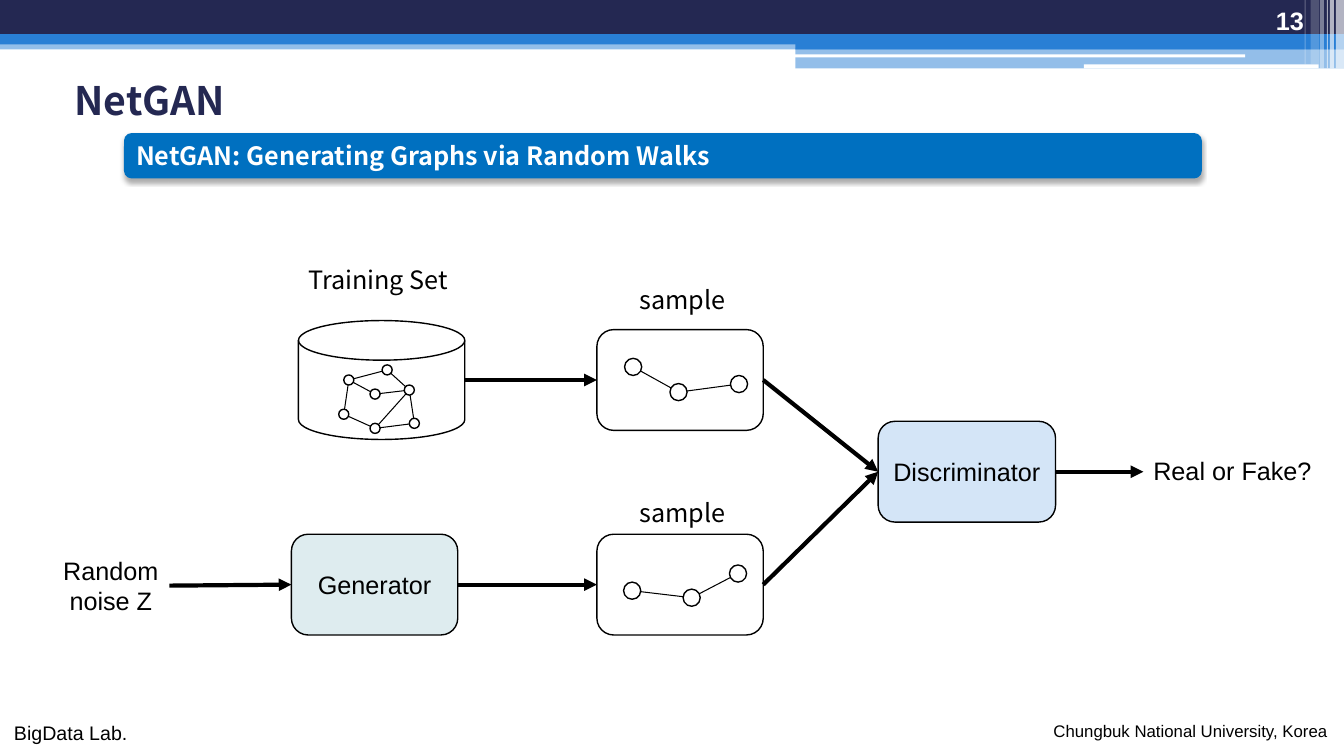
"""Build the NetGAN slide: a banner and the flow from noise and training data to the discriminator."""
from math import hypot

from lxml.etree import SubElement
from pptx import Presentation
from pptx.dml.color import RGBColor
from pptx.enum.shapes import MSO_CONNECTOR, MSO_SHAPE
from pptx.enum.text import MSO_ANCHOR, PP_ALIGN
from pptx.oxml.ns import qn
from pptx.util import Inches, Pt

COLORS = {
    "navy": "242852", "blue": "297FD5", "bar": "0070C0", "white": "FFFFFF",
    "black": "000000", "generator": "DEECEF", "discriminator": "D4E5F7",
}
SANS, KOREAN = "Arial", "Noto Sans CJK KR"
LEFT, CENTER, RIGHT = PP_ALIGN.LEFT, PP_ALIGN.CENTER, PP_ALIGN.RIGHT

presentation = Presentation()
presentation.slide_width, presentation.slide_height = Inches(13.33), Inches(7.5)
slide = presentation.slides.add_slide(presentation.slide_layouts[6])
column = presentation.slide_width / 133.3
row = presentation.slide_height / 75


def add_block(container, kind, box, fill=None, alpha=100, outlined=False):
    """Add a preset shape whose box is given in columns and rows."""
    left, top, width, height = box
    shape = container.shapes.add_shape(
        kind, round(left * column), round(top * row), round(width * column), round(height * row))
    shape.shadow.inherit = False
    if fill:
        shape.fill.solid()
        shape.fill.fore_color.rgb = RGBColor.from_string(COLORS[fill])
        if alpha < 100:
            color = shape.element.spPr.find(qn("a:solidFill"))[0]
            SubElement(color, qn("a:alpha"), val=str(alpha * 1000))
    else:
        shape.fill.background()
    if outlined:
        shape.line.color.rgb = RGBColor.from_string(COLORS["black"])
        shape.line.width = Pt(1)
    else:
        shape.line.fill.background()
    return shape


def add_line(container, start, end, width, arrow=False):
    """Add a straight black line between two grid points."""
    line = container.shapes.add_connector(
        MSO_CONNECTOR.STRAIGHT, round(start[0] * column), round(start[1] * row),
        round(end[0] * column), round(end[1] * row))
    line.line.color.rgb = RGBColor.from_string(COLORS["black"])
    line.line.width = Pt(width)
    if arrow:
        SubElement(line.line._get_or_add_ln(), qn("a:tailEnd"), type="triangle")
    SubElement(line._element.spPr, qn("a:effectLst"))
    return line


banner = [
    ((0, 4, 133.3, 0.9), "blue", 50),
    ((0, 0, 133.3, 3.4), "navy", 100),
    ((0, 3.4, 133.3, 1), "blue", 100),
    ((78.9, 3.9, 54.4, 1), "blue", 100),
    ((78.9, 4.8, 54.4, 2), "blue", 50),
    ((78.8, 5.4, 44.7, 0.3), "white", 100),
    ((107.5, 6.4, 23.3, 0.4), "white", 100),
    ((132.5, 0, 0.8, 6.8), "white", 65),
    ((131.9, 0, 0.4, 6.8), "white", 65),
    ((131.6, 0, 0.1, 6.8), "white", 60),
    ((130.9, 0, 0.4, 6.8), "white", 40),
    ((130, 0, 0.8, 6.4), "white", 20),
    ((129.4, 0, 0.1, 6.4), "white", 30),
]
for box, fill, alpha in banner:
    add_block(slide, MSO_SHAPE.RECTANGLE, box, fill, alpha)

bar = add_block(slide, MSO_SHAPE.ROUNDED_RECTANGLE, (12.3, 13.2, 106.9, 4.5), "bar")
shadow = SubElement(bar.element.spPr.find(qn("a:effectLst")), qn("a:outerShdw"),
                    blurRad=str(Pt(3.5)), dist=str(Pt(2.2)), dir="5400000", rotWithShape="0")
shadow_color = SubElement(shadow, qn("a:srgbClr"), val=COLORS["black"])
SubElement(shadow_color, qn("a:alpha"), val="32000")

training_set = add_block(slide, MSO_SHAPE.FLOWCHART_MAGNETIC_DISK,
                         (29.6, 31.8, 16.5, 11.8), outlined=True)
stages = {}
for name, box, fill in [
    ("generator", (28.9, 53, 16.5, 10), "generator"),
    ("fake sample", (59.2, 53, 16.5, 10), None),
    ("real sample", (59.2, 32.7, 16.5, 10), None),
    ("discriminator", (87.1, 41.8, 17.6, 10), "discriminator"),
]:
    stages[name] = add_block(slide, MSO_SHAPE.ROUNDED_RECTANGLE, box, fill, outlined=True)

arrows = [
    ((16.8, 58.1), (28.9, 58), None, "generator"),
    ((45.4, 58), (59.2, 58), "generator", "fake sample"),
    ((46.1, 37.7), (59.2, 37.7), None, "real sample"),
    ((75.7, 37.7), (87.1, 46.8), "real sample", "discriminator"),
    ((75.7, 58), (87.1, 46.8), "fake sample", "discriminator"),
    ((104.7, 46.8), (113.4, 46.8), "discriminator", None),
]
for start, end, source, target in arrows:
    arrow = add_line(slide, start, end, 3, arrow=True)
    if source:
        arrow.begin_connect(stages[source], 3)
    if target:
        arrow.end_connect(stages[target], 1)

graphs = [
    (0.5,
     [(34.6, 37.7), (38.4, 36.7), (37.2, 39.1), (40.6, 38.7), (37.2, 42.5), (34.1, 41.1), (41.1, 42)],
     [(0, 2), (0, 1), (0, 5), (4, 5), (4, 6), (6, 3), (3, 1), (3, 2), (3, 4)]),
    (0.85, [(62.8, 36.4), (67.3, 38.9), (73.3, 38.1)], [(0, 1), (2, 1)]),
    (0.85, [(73.2, 56.9), (68.6, 59.3), (62.7, 58.6)], [(0, 1), (2, 1)]),
]
for radius, nodes, links in graphs:
    group = slide.shapes.add_group_shape()
    for x, y in nodes:
        add_block(group, MSO_SHAPE.OVAL, (x - radius, y - radius, 2 * radius, 2 * radius), outlined=True)
    for first, second in links:
        (x1, y1), (x2, y2) = nodes[first], nodes[second]
        share = radius / hypot(x2 - x1, y2 - y1)
        dx, dy = (x2 - x1) * share, (y2 - y1) * share
        add_line(group, (x1 + dx, y1 + dy), (x2 - dx, y2 - dy), 0.75)

labels = [
    ("BigData Lab.", (0.4, 71, 13.3, 3.4), 14, SANS, LEFT, False),
    ("Chungbuk National University, Korea", (103.5, 71, 29.4, 3), 12, SANS, LEFT, False),
    ("Real or Fake?", (113.4, 44.7, 17.9, 4), 18, SANS, LEFT, False),
    ("Random\nnoise Z", (5.2, 54.6, 11.6, 7.1), 18, SANS, CENTER, False),
    ("Training Set", (29.6, 25.7, 16.8, 4), 18, KOREAN, LEFT, True),
    ("sample", (61.3, 27.7, 12.8, 4), 18, KOREAN, CENTER, True),
    ("sample", (61.3, 48.8, 12.8, 4), 18, KOREAN, CENTER, True),
    ("NetGAN", (5.2, 1.5, 120.5, 11.7), 28, KOREAN, LEFT, True),
    ("13", (119.2, 0, 11.1, 4), 18, SANS, RIGHT, True),
]
captions = [
    (bar, "NetGAN: Generating Graphs via Random Walks", 18, KOREAN, LEFT, "white", True),
    (stages["generator"], "Generator", 18, SANS, CENTER, "black", False),
    (stages["discriminator"], "Discriminator", 18, SANS, CENTER, "black", False),
]
label_colors = {"NetGAN": "navy", "13": "white"}
for text, (left, top, width, height), size, font, align, wrap in labels:
    label = slide.shapes.add_textbox(
        round(left * column), round(top * row), round(width * column), round(height * row))
    label.text_frame.word_wrap = wrap
    if text == "NetGAN":
        label.text_frame.vertical_anchor = MSO_ANCHOR.MIDDLE
        label.text_frame.margin_left = Inches(0.22)
    elif text == "13":
        label.text_frame.vertical_anchor = MSO_ANCHOR.BOTTOM
    captions.append((label, text, size, font, align, label_colors.get(text, "black"), text in label_colors))

for shape, text, size, font, align, color, bold in captions:
    shape.text_frame.text = text
    for paragraph in shape.text_frame.paragraphs:
        paragraph.alignment = align
        paragraph.font.size = Pt(size)
        paragraph.font.name = font
        paragraph.font.bold = bold
        paragraph.font.color.rgb = RGBColor.from_string(COLORS[color])
        if text == "NetGAN":
            paragraph.line_spacing = 2.1

presentation.save("out.pptx")
